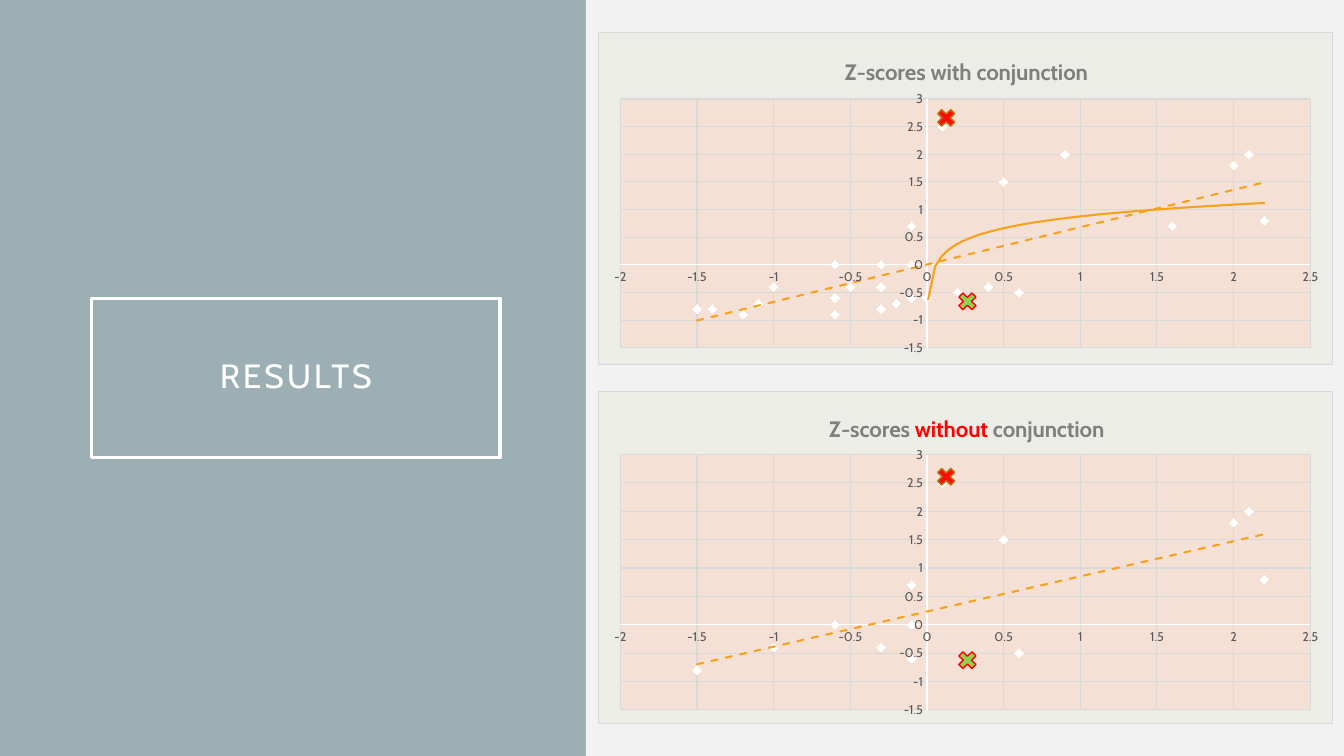
from lxml.etree import SubElement
from pptx import Presentation
from pptx.chart.data import XyChartData
from pptx.dml.color import RGBColor
from pptx.enum.chart import XL_CHART_TYPE, XL_MARKER_STYLE, XL_TICK_MARK
from pptx.enum.shapes import MSO_SHAPE
from pptx.enum.text import MSO_ANCHOR, PP_ALIGN
from pptx.oxml import parse_xml
from pptx.oxml.ns import nsdecls, qn
from pptx.util import Inches, Pt

NAMESPACES = nsdecls("c", "a")
SHARED_POINTS = [
    (2.1, 2), (-1.5, -0.8), (-0.1, 0), (-0.1, -0.6), (0.3, -0.7),
    (0.1, 2.5), (-0.1, 0.7), (-0.6, 0), (0.5, 1.5), (2.2, 0.8),
    (-1.5, -0.8), (2, 1.8), (-0.3, -0.4), (0.6, -0.5), (-1, -0.4),
]
CONJUNCTION_POINTS = [
    (0.9, 2), (-1.4, -0.8), (-0.3, 0), (0, -0.6), (-0.2, -0.7),
    (-0.6, -0.9), (-0.3, -0.8), (0.4, -0.4), (-0.6, -0.6), (-1.1, -0.7),
    (-1.2, -0.9), (1.6, 0.7), (-0.5, -0.4), (0.2, -0.5), (0.4, -0.4),
]


def color(value):
    """Turn a hex string into a colour."""
    return RGBColor.from_string(value)


def layout_xml(target="", **edges):
    """Return a manual chart layout given as fractions of the chart."""
    inner = f'<c:layoutTarget val="{target}"/>' if target else ""
    places = "".join(f'<c:{key} val="{value}"/>' for key, value in edges.items())
    return parse_xml(
        f"<c:layout {NAMESPACES}><c:manualLayout>{inner}"
        '<c:xMode val="edge"/><c:yMode val="edge"/>'
        f"{places}</c:manualLayout></c:layout>"
    )


def area_xml(fill, border=None):
    """Return the fill and border of a chart area."""
    line = "<a:noFill/>"
    if border:
        line = f'<a:solidFill><a:srgbClr val="{border}"/></a:solidFill>'
    return parse_xml(
        f'<c:spPr {NAMESPACES}><a:solidFill><a:srgbClr val="{fill}"/></a:solidFill>'
        f'<a:ln w="{Pt(0.75)}">{line}</a:ln></c:spPr>'
    )


def trend_xml(kind, dash):
    """Return an orange trend line."""
    return parse_xml(
        f'<c:trendline {NAMESPACES}><c:spPr><a:ln w="{Pt(1.5)}" cap="rnd"><a:solidFill>'
        f'<a:srgbClr val="F6A21D"/></a:solidFill><a:prstDash val="{dash}"/></a:ln></c:spPr>'
        f'<c:trendlineType val="{kind}"/><c:dispRSqr val="0"/><c:dispEq val="0"/></c:trendline>'
    )


class ResultsPage:
    """Holds the style and the current slide."""

    font = "Cabin"
    white = "FFFFFF"
    grid = "D9D9D9"

    def __init__(self, deck):
        """Add a title-only slide with its background."""
        self.page = deck.slides.add_slide(deck.slide_layouts[5])
        fill = self.page.background.fill
        fill.solid()
        fill.fore_color.rgb = color("9BAFB5")

    def style_line(self, line, value, width):
        """Give a line its colour and width."""
        line.color.rgb = color(value)
        line.width = Pt(width)

    def style_font(self, font, size, value, bold=False):
        """Give a font its face, size and colour."""
        font.name = self.font
        font.size = Pt(size)
        font.bold = bold
        font.color.rgb = color(value)

    def title(self, text, left, top, width, height):
        """Place the framed title."""
        box = self.page.shapes.title
        box.left, box.top = Inches(left), Inches(top)
        box.width, box.height = Inches(width), Inches(height)
        self.style_line(box.line, self.white, 2.5)
        frame = box.text_frame
        frame.word_wrap = True
        frame.vertical_anchor = MSO_ANCHOR.MIDDLE
        frame.margin_left = frame.margin_right = Inches(0.2)
        frame.margin_top = frame.margin_bottom = Inches(0.2)
        para = frame.paragraphs[0]
        para.alignment = PP_ALIGN.CENTER
        para.line_spacing = 0.9
        span = para.add_run()
        span.text = text
        self.style_font(para.font, 24, self.white)
        span.font._element.set("spc", "200")

    def shape(self, kind, left, top, width, height, fill, line=None, opacity=100):
        """Add a filled preset shape."""
        shape = self.page.shapes.add_shape(
            kind, Inches(left), Inches(top), Inches(width), Inches(height))
        shape.shadow.inherit = False
        shape.fill.solid()
        shape.fill.fore_color.rgb = color(fill)
        if opacity < 100:
            tint = shape.fill._xPr.find(".//" + qn("a:srgbClr"))
            SubElement(tint, qn("a:alpha")).set("val", str(opacity * 1000))
        if line:
            self.style_line(shape.line, line, 1)
        else:
            shape.line.fill.background()

    def cross(self, left, top, fill, line, opacity=100):
        """Add a cross that marks one point."""
        self.shape(MSO_SHAPE.MATH_MULTIPLY, left, top, 0.25, 0.24, fill, line, opacity)

    def axis(self, axis, low, high):
        """Format one chart axis."""
        axis.minimum_scale, axis.maximum_scale = low, high
        axis.major_unit = 0.5
        axis.major_tick_mark = axis.minor_tick_mark = XL_TICK_MARK.NONE
        axis.has_major_gridlines = True
        self.style_line(axis.major_gridlines.format.line, self.grid, 0.75)
        self.style_line(axis.format.line, self.white, 1)
        labels = axis.tick_labels
        labels.number_format = "General"
        labels.number_format_is_linked = False
        self.style_font(labels.font, 9, "595959")

    def chart_title(self, chart, spans, left):
        """Write the chart title from text and colour pairs."""
        title = chart.chart_title
        para = title.text_frame.paragraphs[0]
        for text, value in spans:
            span = para.add_run()
            span.text = text
            self.style_font(span.font, 16, value, True)
        element = title._element
        for old in element.findall(qn("c:layout")):
            element.remove(old)
        element.find(qn("c:tx")).addnext(layout_xml(x=left, y=0.06))

    def scatter(self, top, spans, title_left, points, trends, plot_top, plot_height):
        """Add a scatter chart with trend lines."""
        data = XyChartData()
        series = data.add_series("Series 1")
        for x, y in points:
            series.add_data_point(x, y)
        chart = self.page.shapes.add_chart(
            XL_CHART_TYPE.XY_SCATTER, Inches(5.93), Inches(top),
            Inches(7.29), Inches(3.3), data).chart
        chart.has_legend = False
        self.style_font(chart.font, 10, self.white)
        self.chart_title(chart, spans, title_left)
        self.axis(chart.category_axis, -2, 2.5)
        self.axis(chart.value_axis, -1.5, 3)

        plot = chart.plots[0]
        plot.vary_by_categories = False
        dots = plot.series[0]
        dots.format.line.fill.background()
        dots.marker.style = XL_MARKER_STYLE.DIAMOND
        dots.marker.size = 6
        dots.marker.format.fill.solid()
        dots.marker.format.fill.fore_color.rgb = color(self.white)
        dots.marker.format.line.fill.background()
        for kind, dash in trends:
            dots._element.find(qn("c:xVal")).addprevious(trend_xml(kind, dash))

        body = chart._chartSpace.find(qn("c:chart"))
        body.addnext(area_xml("EBEDE6", self.grid))
        area = body.find(qn("c:plotArea"))
        for old in area.findall(qn("c:layout")):
            area.remove(old)
        area.insert(0, layout_xml("inner", x=0.03, y=plot_top, w=0.94, h=plot_height))
        area.append(area_xml("F5E0D5"))


def main():
    """Build and save the results slide."""
    deck = Presentation()
    deck.slide_width, deck.slide_height = Inches(13.33), Inches(7.5)
    results = ResultsPage(deck)
    gray, red, green, brown = "7F7F7F", "FF0000", "92D050", "B67815"
    linear = ("linear", "dash")

    results.title("RESULTS", 0.91, 2.96, 4.05, 1.58)
    results.shape(MSO_SHAPE.RECTANGLE, 5.81, 0, 7.52, 7.5, "F2F2F2")
    results.scatter(0.32, [("Z-scores with conjunction", gray)], 0.33,
                    SHARED_POINTS + CONJUNCTION_POINTS,
                    [("log", "solid"), linear], 0.2, 0.75)
    results.scatter(3.88, [("Z-scores ", gray), ("without", red), (" conjunction", gray)],
                    0.31, SHARED_POINTS, [linear], 0.19, 0.77)
    for red_top, green_top in ((1.05, 2.87), (4.61, 6.43)):
        results.cross(9.26, red_top, red, brown, 95)
        results.cross(9.47, green_top, green, red)
    deck.save("out.pptx")


if __name__ == "__main__":
    main()
